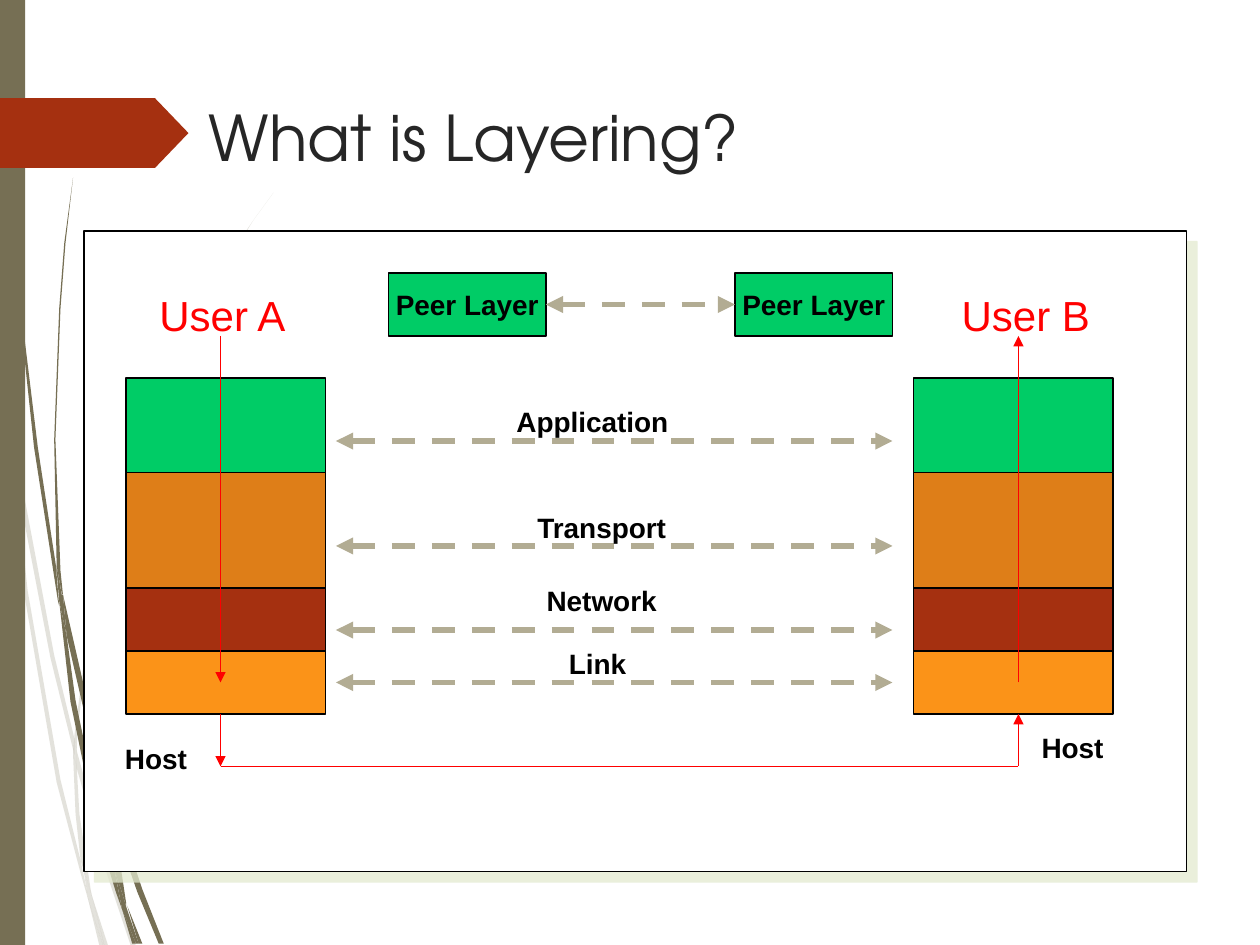
"""Build the slide that explains layering between two hosts."""
from dataclasses import dataclass

from pptx import Presentation, util as u
from pptx.dml.color import RGBColor
from pptx.enum import dml, shapes, text
from pptx.oxml import ns, xmlchemy
from lxml import etree


@dataclass(frozen=True)
class Theme:
    olive: str = "766F54"
    rust: str = "A53010"
    amber: str = "FB9318"
    orange: str = "DE7E18"
    green: str = "00CC66"
    red: str = "FF0000"
    stone: str = "B2AC93"
    ink: str = "000000"
    title_ink: str = "262626"
    paper: str = "FFFFFF"
    shade: str = "E3EACF"
    title_font: str = "TeX Gyre Adventor"
    font: str = "Arial"
    title_size: int = 36
    user_size: int = 24
    label_size: int = 16


PALE_WISPS = [
    [(8, 350), (6, 322), (0, 282), (0, 299), (7, 344)],
    [(40, 522), (59, 599), (59, 586), (43, 520), (10, 345), (12, 376)],
    [(64, 607), (61, 596), (61, 610), (85, 694), (104, 751), (108, 751), (88, 692)],
    [(83, 751), (86, 751), (73, 711)],
    [(64, 683), (48, 619), (22, 469), (12, 376), (8, 350), (19, 470), (45, 621),
     (64, 693), (70, 714), (69, 707)],
    [(58, 599), (60, 646), (64, 683), (67, 692), (73, 711), (72, 706), (63, 646),
     (61, 610), (61, 608)],
    [(61, 584), (76, 462), (111, 349), (159, 245), (187, 198), (201, 175), (217, 153),
     (201, 175), (186, 197), (158, 244), (110, 348), (75, 461), (59, 584), (59, 586),
     (61, 596)],
    [(70, 714), (79, 751), (82, 751)],
    [(61, 608), (61, 610), (61, 596), (59, 586), (58, 599)],
    [(67, 692), (65, 683), (69, 707), (70, 714), (82, 751), (83, 751), (73, 711)],
]
DARK_WISPS = [
    [(5, 110), (14, 233), (27, 355), (46, 477), (47, 481), (45, 457), (45, 453),
     (30, 355), (15, 232), (6, 109), (4, 48), (3, 0), (2, 0), (3, 48)],
    [(73, 592), (88, 645), (88, 633), (88, 631), (77, 590), (50, 472), (53, 505)],
    [(94, 649), (91, 641), (91, 656), (109, 708), (126, 749), (130, 749), (113, 706)],
    [(91, 691), (81, 657), (60, 556), (53, 505), (47, 477), (56, 557), (77, 659),
     (92, 708), (97, 722), (96, 717)],
    [(50, 472), (48, 453), (44, 349), (48, 245), (52, 193), (58, 141), (51, 193),
     (47, 245), (43, 349), (45, 449), (49, 471)],
    [(110, 749), (113, 749), (101, 719)],
    [(47, 477), (53, 505), (50, 472), (49, 472), (45, 449), (45, 453)],
    [(97, 722), (105, 749), (108, 749)],
    [(88, 645), (91, 691), (96, 706), (100, 719), (100, 716), (91, 656), (90, 651)],
    [(96, 706), (91, 691), (96, 717), (97, 722), (108, 749), (110, 749), (100, 719)],
]


def grid(*steps):
    return [u.Cm(step * 2.54 / 12) for step in steps]


def add_element(parent, tag, **attributes):
    values = {name: str(value) for name, value in attributes.items()}
    return etree.SubElement(parent, ns.qn(tag), values)


def write(frame, words, *, size, color, font, bold=False, align=text.PP_ALIGN.LEFT,
          anchor=text.MSO_ANCHOR.TOP, wrap=False, fit=text.MSO_AUTO_SIZE.NONE):
    frame.text = words
    frame.word_wrap = wrap
    frame.auto_size = fit
    frame.vertical_anchor = anchor
    paragraph = frame.paragraphs[0]
    paragraph.alignment = align
    face = paragraph.runs[0].font
    face.size, face.name, face.bold = u.Pt(size), font, bold
    face.color.rgb = RGBColor.from_string(color)


class Deck:
    def __init__(self, theme):
        self.theme = theme
        self.presentation = Presentation()
        self.presentation.slide_width = u.Cm(25.4)
        self.presentation.slide_height = u.Cm(19.05)
        self.slide = self.presentation.slides.add_slide(self.presentation.slide_layouts[5])

    def title(self, words, *place):
        title = self.slide.shapes.title
        title.left, title.top, title.width, title.height = grid(*place)
        write(title.text_frame, words, size=self.theme.title_size, wrap=True,
              color=self.theme.title_ink, font=self.theme.title_font)

    def paint(self, shape, fill, outlined):
        shape.shadow.inherit = False
        shape.fill.solid()
        shape.fill.fore_color.rgb = RGBColor.from_string(fill)
        if outlined:
            shape.line.color.rgb = RGBColor.from_string(self.theme.ink)
            shape.line.width = u.Pt(0.75)
        else:
            shape.line.fill.background()

    def box(self, fill, *place, kind=shapes.MSO_SHAPE.RECTANGLE, outlined=True):
        shape = self.slide.shapes.add_shape(kind, *grid(*place))
        self.paint(shape, fill, outlined)
        return shape

    def panel(self, *place):
        shape = self.box(self.theme.paper, *place)
        effects = shape.element.spPr.find(ns.qn("a:effectLst"))
        shadow = add_element(effects, "a:outerShdw", dist=u.Pt(8.5), dir=2700000, algn="ctr",
                             rotWithShape=0)
        color = add_element(shadow, "a:srgbClr", val=self.theme.shade)
        add_element(color, "a:alpha", val=75000)

    def wisp(self, points, opacity):
        builder = self.slide.shapes.build_freeform(*points[0], scale=u.Cm(0.0254))
        builder.add_line_segments(points[1:], close=True)
        shape = builder.convert_to_shape()
        self.paint(shape, self.theme.olive, False)
        color = shape.element.spPr.find(".//" + ns.qn("a:srgbClr"))
        add_element(color, "a:alpha", val=opacity * 1000)

    def label(self, words, *place, **style):
        box = self.slide.shapes.add_textbox(*grid(*place))
        style = {"size": self.theme.label_size, "color": self.theme.ink, "bold": True, **style}
        write(box.text_frame, words, font=self.theme.font,
              fit=text.MSO_AUTO_SIZE.SHAPE_TO_FIT_TEXT, **style)

    def peer(self, *place):
        shape = self.box(self.theme.green, *place)
        write(shape.text_frame, "Peer Layer", size=self.theme.label_size, bold=True,
              color=self.theme.ink, font=self.theme.font, align=text.PP_ALIGN.CENTER,
              anchor=text.MSO_ANCHOR.MIDDLE)
        return shape

    def line(self, *ends, color, width=0.75, dashed=False, heads=()):
        line = self.slide.shapes.add_connector(shapes.MSO_CONNECTOR.STRAIGHT, *grid(*ends))
        line.line.color.rgb = RGBColor.from_string(color)
        line.line.width = u.Pt(width)
        if dashed:
            line.line.dash_style = dml.MSO_LINE.DASH
        for head in heads:
            add_element(line.line._get_or_add_ln(), f"a:{head}End", type="triangle")
        add_element(line.element.spPr, "a:effectLst")
        return line

    def flow(self, *ends, heads=("tail",)):
        return self.line(*ends, color=self.theme.red, heads=heads)

    def exchange(self, *ends):
        return self.line(*ends, color=self.theme.stone, width=3.25, dashed=True,
                         heads=("head", "tail"))


def main():
    theme = Theme()
    deck = Deck(theme)
    center = text.PP_ALIGN.CENTER
    for wisps, opacity in ((PALE_WISPS, 20), (DARK_WISPS, 100)):
        for points in wisps:
            deck.wisp(points, opacity)
    deck.box(theme.olive, 0, 0, 2.4, 90, outlined=False)
    tag = deck.box(theme.rust, 0, 9.35, 17.95, 6.65, kind=shapes.MSO_SHAPE.PENTAGON,
                   outlined=False)
    tag.adjustments[0] = 0.48
    deck.title("What is Layering?", 18.7, 8.8, 92.2, 15)
    deck.panel(8, 22, 105, 61)

    layers = [(theme.green, 9), (theme.orange, 11), (theme.rust, 6), (theme.amber, 6)]
    for left in (12, 87):
        top = 36
        for fill, height in layers:
            deck.box(fill, left, top, 19, height)
            top += height

    for y in (42, 52, 60, 65):
        deck.exchange(32, y, 85, y)
    deck.label("Application", 48, 37.9, 16.9, 4.4)
    deck.label("Transport", 50, 48, 14.9, 4.4)
    deck.label("Network", 50.8, 55, 13, 4.4, align=center)
    deck.label("Link", 53, 61, 7.9, 4.4)
    deck.label("Host", 10.7, 70, 8.3, 4.4, align=center)
    deck.label("Host", 98, 69, 8.3, 4.4, align=center)
    for name, left in (("User A", 14), ("User B", 90.4)):
        deck.label(name, left, 27, 14.6, 6, size=theme.user_size, color=theme.red, bold=False)

    deck.flow(21, 32, 21, 65)
    deck.flow(21, 68, 21, 73)
    deck.flow(21, 73, 97, 73, heads=())
    deck.flow(97, 68, 97, 73, heads=("head",))
    deck.flow(97, 65, 97, 32)

    sender, receiver = (deck.peer(left, 26, 15, 6) for left in (37, 70))
    link = deck.exchange(52, 29, 70, 29)
    link.begin_connect(sender, 3)
    link.end_connect(receiver, 1)
    deck.presentation.save("out.pptx")


if __name__ == "__main__":
    main()
